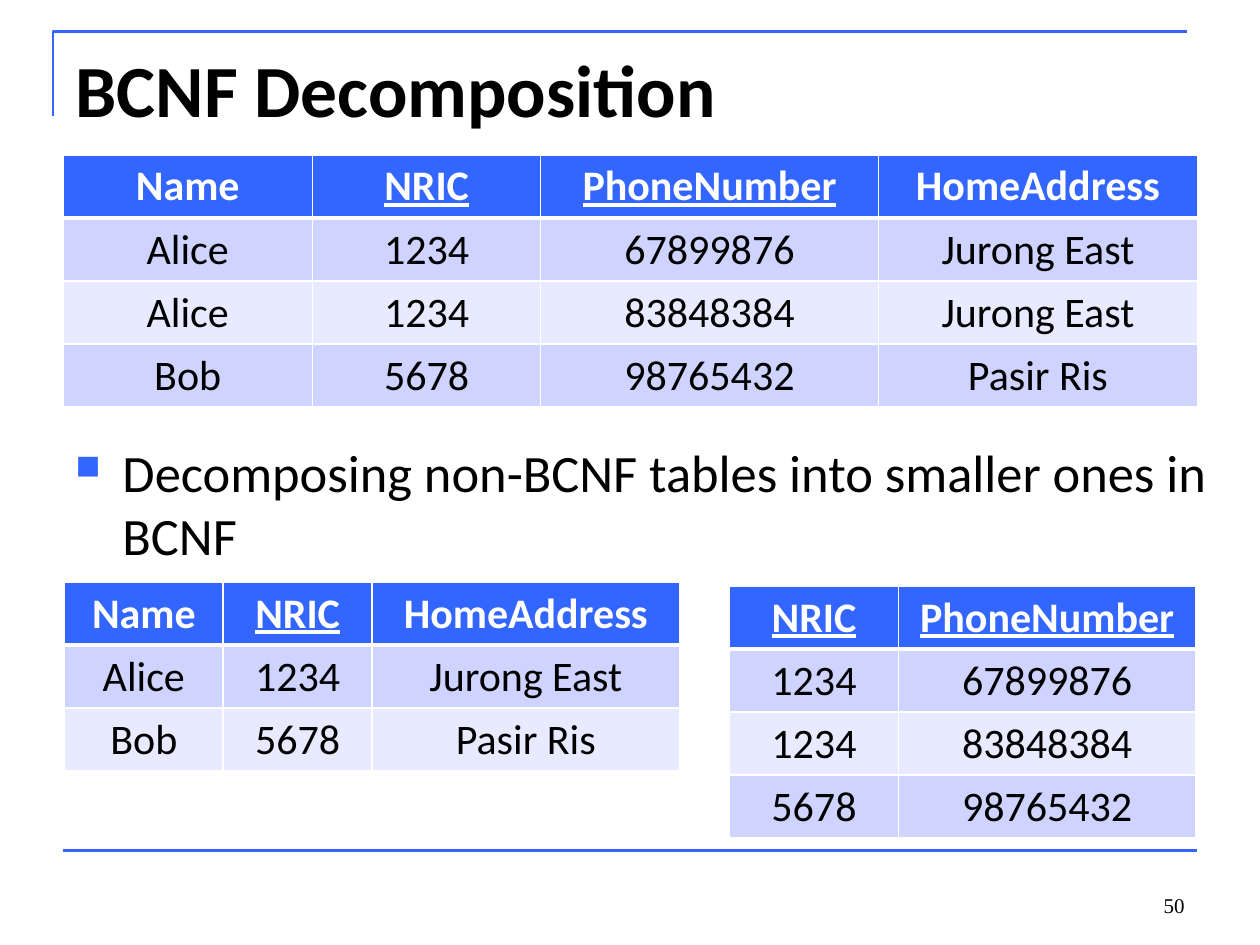
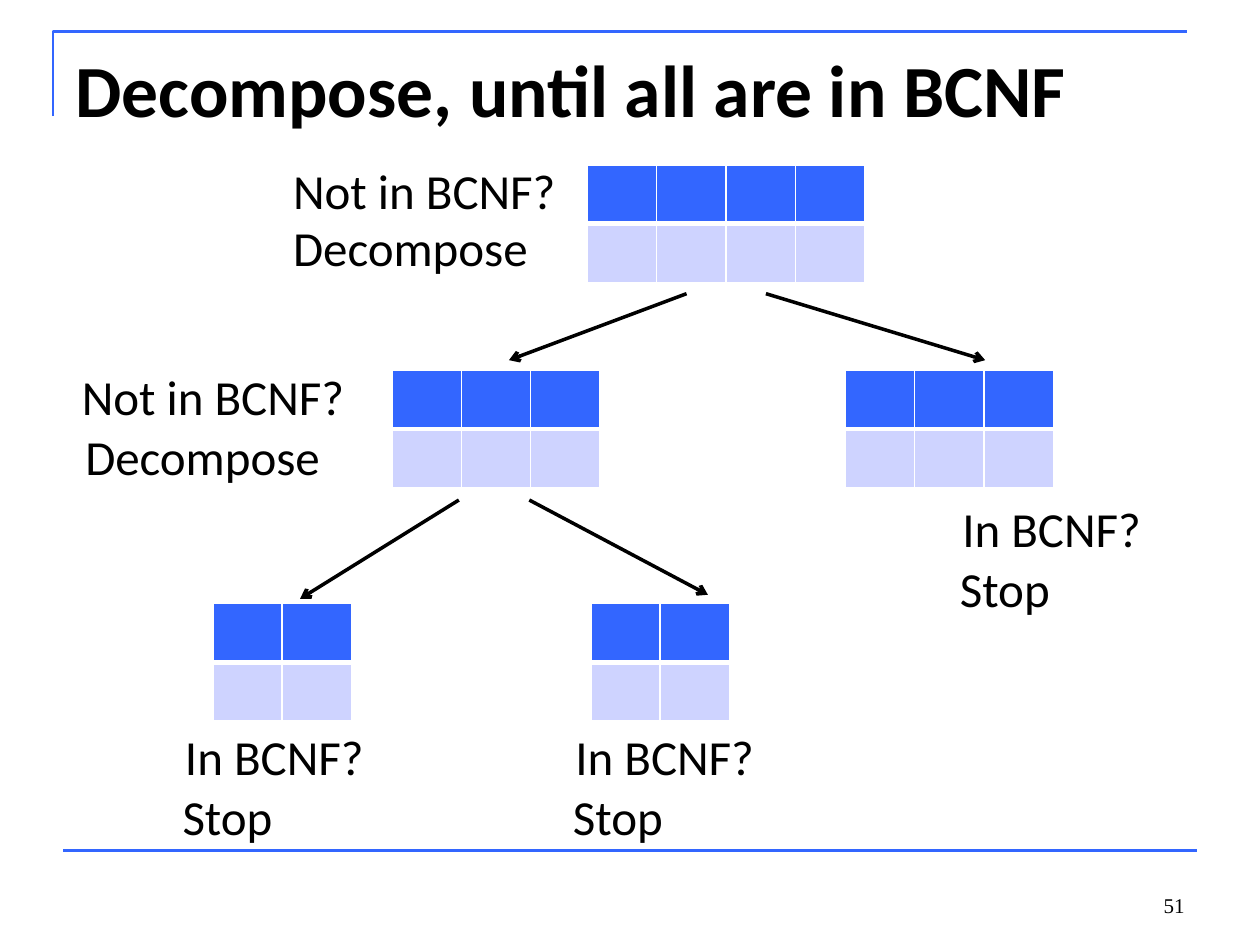
from lxml import etree
from pptx import Presentation
from pptx import util as u
from pptx.dml.color import RGBColor
from pptx.enum import shapes, text
from pptx.oxml import ns

BLUE, PALE, PALER = "3366FF", "CED3FF", "E8EAFF"
BLACK, WHITE = "000000", "FFFFFF"
LEFT, CENTER, RIGHT = text.PP_ALIGN.LEFT, text.PP_ALIGN.CENTER, text.PP_ALIGN.RIGHT


def color(hex_string):
    return RGBColor.from_string(hex_string)


def add_xml(parent, tag, **attributes):
    return etree.SubElement(parent, ns.qn(tag), attributes)


class Style:
    """Holds the deck's look and the page being filled; lengths are in cm."""

    def __init__(self, deck):
        self.deck = deck
        self.page = None

    def start_page(self, title, number):
        self.page = self.deck.slides.add_slide(self.deck.slide_layouts[5])
        self.frame()
        box = self.page.shapes.title
        self.place(box, 1.27, 0.76, 22.86, 3.18)
        self.set_words(box.text_frame, title, size=42, bold=True)
        self.label(str(number), 18.2, 17.35, 5.93, 1.27, align=RIGHT,
                   anchor=text.MSO_ANCHOR.BOTTOM, size=12, name="Times New Roman")

    def place(self, box, left, top, width, height):
        places = dict(left=left, top=top, width=width, height=height)
        for key, value in places.items():
            setattr(box, key, u.Cm(value))

    def frame(self):
        """Draw the corner around the title and the line above the footer."""
        builder = self.page.shapes.build_freeform(u.Cm(1.07), u.Cm(2.34))
        corner_points = [(1.07, 0.64), (23.93, 0.64)]
        builder.add_line_segments([(u.Cm(x), u.Cm(y)) for x, y in corner_points], close=False)
        corner = builder.convert_to_shape()
        corner.shadow.inherit = False
        corner.fill.background()
        self.stroke(corner.line, BLUE, 1.5)
        self.line((1.27, 17.15), (24.13, 17.15), BLUE, 1.5)

    def stroke(self, line, hex_string, width):
        line.color.rgb = color(hex_string)
        line.width = u.Pt(width)

    def line(self, start, end, hex_string=BLACK, width=2):
        ends = [u.Cm(value) for value in (*start, *end)]
        connector = self.page.shapes.add_connector(shapes.MSO_CONNECTOR.STRAIGHT, *ends)
        self.stroke(connector.line, hex_string, width)
        add_xml(connector._element.spPr, "a:effectLst")
        return connector

    def arrow(self, start, end):
        connector = self.line(start, end)
        outline = connector._element.spPr.find(ns.qn("a:ln"))
        add_xml(outline, "a:tailEnd", type="arrow")

    def set_words(self, frame, words, align=LEFT, anchor=text.MSO_ANCHOR.TOP,
                  hex_string=BLACK, **font):
        frame.word_wrap = True
        frame.vertical_anchor = anchor
        para = frame.paragraphs[0]
        para.alignment = align
        span = para.add_run()
        span.text = words
        for key, value in {"name": "Calibri", **font}.items():
            setattr(span.font, key, u.Pt(value) if key == "size" else value)
        span.font.color.rgb = color(hex_string)

    def label(self, words, left, top, width, height, **look):
        box = self.page.shapes.add_textbox(0, 0, 0, 0)
        self.place(box, left, top, width, height)
        self.set_words(box.text_frame, words, **look)
        return box

    def bullet(self, words, *place):
        box = self.label(words, *place, size=30)
        properties = box.text_frame.paragraphs[0]._p.get_or_add_pPr()
        indent = u.Cm(0.95)
        properties.set("marL", str(indent))
        properties.set("indent", str(-indent))
        add_xml(add_xml(properties, "a:buClr"), "a:srgbClr", val=BLUE)
        add_xml(properties, "a:buSzPct", val="65000")
        add_xml(properties, "a:buChar", char="■")

    def table(self, left, top, columns, rows, keys=(), row_height=1.27):
        """Add a table; the header cells named in keys are underlined."""
        table = self.page.shapes.add_table(
            len(rows), len(columns), u.Cm(left), u.Cm(top),
            u.Cm(sum(columns)), u.Cm(row_height * len(rows))).table
        table.horz_banding = False
        for column, width in zip(table.columns, columns):
            column.width = u.Cm(width)
        for i, row in enumerate(rows):
            table.rows[i].height = u.Cm(row_height)
            for j, words in enumerate(row):
                cell = table.cell(i, j)
                self.borders(cell, i)
                cell.fill.solid()
                cell.fill.fore_color.rgb = color((PALER if i % 2 == 0 else PALE) if i else BLUE)
                if words:
                    self.set_words(cell.text_frame, words, align=CENTER, size=24, bold=i == 0,
                                   underline=i == 0 and words in keys,
                                   hex_string=BLACK if i else WHITE)

    def borders(self, cell, row):
        """Draw white edges, thicker between the header and the first row."""
        properties = cell._tc.get_or_add_tcPr()
        for side in "LRTB":
            width = 3 if (row, side) in ((0, "B"), (1, "T")) else 1
            edge = add_xml(properties, f"a:ln{side}", w=str(u.Pt(width)))
            add_xml(add_xml(edge, "a:solidFill"), "a:srgbClr", val=WHITE)

    def blank_table(self, left, top, count):
        self.table(left, top, [1.4] * count, [[""] * count] * 2, row_height=1.18)

    def caption(self, words, left, top):
        self.label(words, left, top, 6.1, 1.45, size=28)


def decomposition_page(style):
    style.start_page("BCNF Decomposition", 50)
    keys = ("NRIC", "PhoneNumber")
    style.table(1.27, 3.12, [5.03, 4.6, 6.81, 6.43], [
        ("Name", "NRIC", "PhoneNumber", "HomeAddress"),
        ("Alice", "1234", "67899876", "Jurong East"),
        ("Alice", "1234", "83848384", "Jurong East"),
        ("Bob", "5678", "98765432", "Pasir Ris")], keys)
    style.bullet("Decomposing non-BCNF tables into smaller ones in BCNF",
                 1.27, 8.74, 23.42, 3)
    style.table(1.3, 11.73, [3.2, 3, 6.2], [
        ("Name", "NRIC", "HomeAddress"),
        ("Alice", "1234", "Jurong East"),
        ("Bob", "5678", "Pasir Ris")], keys)
    style.table(14.71, 11.81, [3.4, 6], [
        ("NRIC", "PhoneNumber"),
        ("1234", "67899876"),
        ("1234", "83848384"),
        ("5678", "98765432")], keys)


def tree_page(style):
    style.start_page("Decompose, until all are in BCNF", 51)
    for left, top, count in [(11.84, 3.33, 4), (7.9, 7.47, 3), (17.04, 7.47, 3),
                             (4.29, 12.17, 2), (11.91, 12.17, 2)]:
        style.blank_table(left, top, count)
    for start, end in [((13.84, 5.92), (10.26, 7.26)), ((15.44, 5.92), (19.86, 7.26)),
                       ((9.25, 10.08), (6.05, 12.07)), ((10.67, 10.08), (14.27, 11.99))]:
        style.arrow(start, end)
    for question, answer in [((5.66, 3.12), (5.66, 4.27)), ((1.4, 7.26), (1.47, 8.48))]:
        style.caption("Not in BCNF?", *question)
        style.caption("Decompose", *answer)
    for left, top in [(19.15, 9.93), (3.48, 14.53), (11.35, 14.53)]:
        style.caption("In BCNF?", left, top)
        style.caption("Stop", left - 0.05, top + 1.2)


def main():
    deck = Presentation()
    deck.slide_width, deck.slide_height = u.Cm(25.4), u.Cm(19.05)
    style = Style(deck)
    decomposition_page(style)
    tree_page(style)
    deck.save("out.pptx")


if __name__ == "__main__":
    main()
